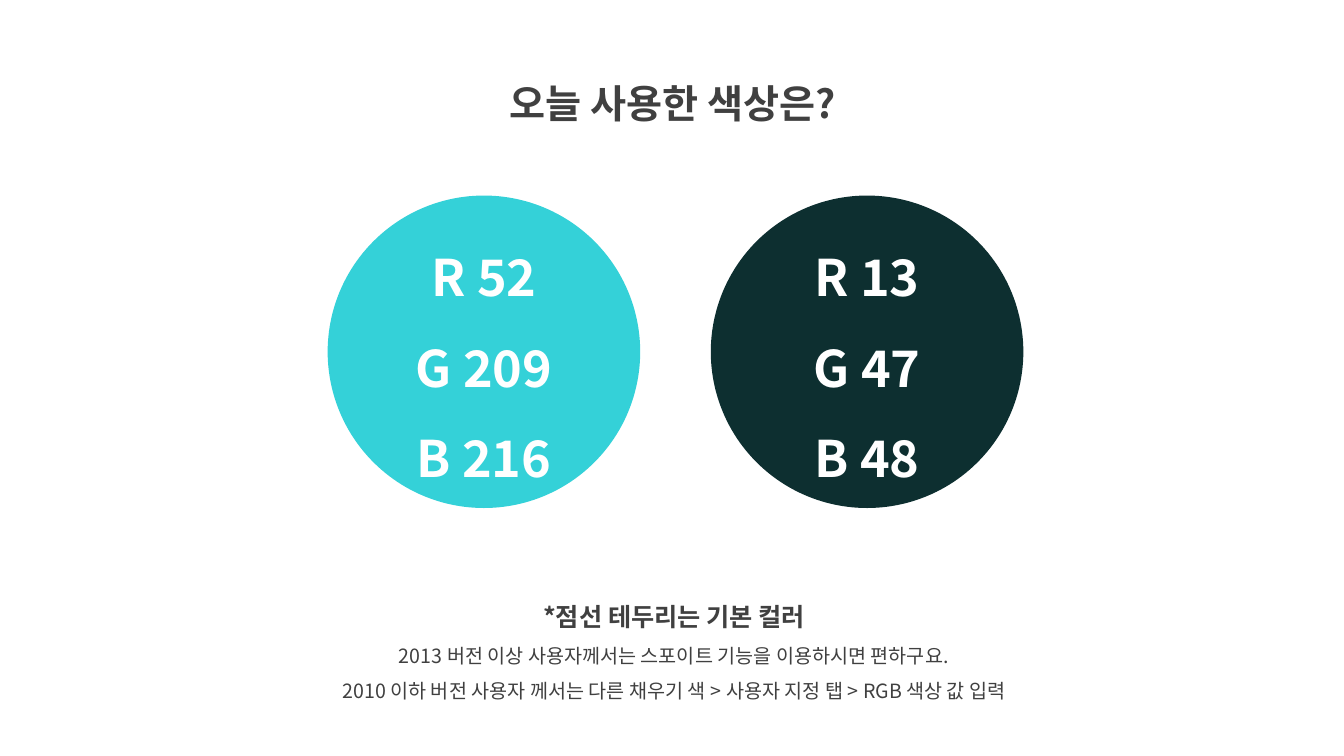
from dataclasses import dataclass

from lxml import etree
from pptx import Presentation
from pptx.dml.color import RGBColor
from pptx.enum.shapes import MSO_SHAPE
from pptx.enum.text import MSO_ANCHOR, MSO_AUTO_SIZE, PP_ALIGN
from pptx.oxml.ns import qn
from pptx.util import Inches, Pt

CENTER = PP_ALIGN.CENTER
TOP, MIDDLE = MSO_ANCHOR.TOP, MSO_ANCHOR.MIDDLE
NO_AUTOFIT = MSO_AUTO_SIZE.NONE
OVAL = MSO_SHAPE.OVAL
TITLE_ONLY = 5


@dataclass(frozen=True)
class Theme:
    font: str = "Noto Sans CJK KR"
    ink: str = "404040"
    white: str = "FFFFFF"
    title_size: int = 28
    swatch_size: int = 36
    heading_size: int = 18
    note_size: int = 14
    line_spacing: float = 1.5


class ColorSlide:
    def __init__(self, slide, theme):
        self.slide = slide
        self.theme = theme

    def set_lines(self, shape, lines, color, anchor=TOP):
        """Fill a shape with centred lines of (text, size, bold)."""
        frame = shape.text_frame
        frame_format = {"word_wrap": True, "auto_size": NO_AUTOFIT,
                        "vertical_anchor": anchor}
        for name, value in frame_format.items():
            setattr(frame, name, value)
        frame.text = "\n".join(text for text, _, _ in lines)
        for paragraph, (_, size, bold) in zip(frame.paragraphs, lines):
            paragraph.alignment = CENTER
            paragraph.line_spacing = self.theme.line_spacing
            font = paragraph.runs[0].font
            font.color.rgb = RGBColor.from_string(color)
            font_format = {"name": self.theme.font, "size": Pt(size), "bold": bold}
            for name, value in font_format.items():
                setattr(font, name, value)
            # Hangul takes the East Asian typeface
            properties = paragraph.runs[0]._r.get_or_add_rPr()
            etree.SubElement(properties, qn("a:ea"), typeface=self.theme.font)

    def title(self, text, left, top, width, height):
        title = self.slide.shapes.title
        place = {"left": left, "top": top, "width": width, "height": height}
        for name, value in place.items():
            setattr(title, name, Inches(value))
        self.set_lines(title, [(text, self.theme.title_size, True)], self.theme.ink)

    def swatch(self, rgb, left, top, diameter):
        circle = self.slide.shapes.add_shape(
            OVAL, Inches(left), Inches(top), Inches(diameter), Inches(diameter))
        circle.shadow.inherit = False
        circle.fill.solid()
        circle.fill.fore_color.rgb = RGBColor(*rgb)
        circle.line.fill.background()
        lines = [(f"{channel} {value}", self.theme.swatch_size, True)
                 for channel, value in zip("RGB", rgb)]
        self.set_lines(circle, lines, self.theme.white, MIDDLE)

    def notes(self, heading, details, left, top, width, height):
        box = self.slide.shapes.add_textbox(
            Inches(left), Inches(top), Inches(width), Inches(height))
        lines = [(heading, self.theme.heading_size, True)]
        lines += [(detail, self.theme.note_size, False) for detail in details]
        self.set_lines(box, lines, self.theme.ink)


def main():
    deck = Presentation()
    deck.slide_width, deck.slide_height = Inches(13.33), Inches(7.5)
    page = ColorSlide(deck.slides.add_slide(deck.slide_layouts[TITLE_ONLY]), Theme())

    # Heading
    page.title("오늘 사용한 색상은?", 4.36, 0.5, 4.63, 0.72)

    # Colour guide
    page.notes(
        "*점선 테두리는 기본 컬러",
        ["2013 버전 이상 사용자께서는 스포이트 기능을 이용하시면 편하구요.",
         "2010 이하 버전 사용자 께서는 다른 채우기 색 > 사용자 지정 탭 > RGB 색상 값 입력"],
        2.69, 5.77, 7.99, 1.26)

    # Colour swatches
    diameter, gap = 3.1, 0.7
    for column, rgb in enumerate([(52, 209, 216), (13, 47, 48)]):
        page.swatch(rgb, 3.25 + column * (diameter + gap), 1.94, diameter)

    deck.save("out.pptx")


if __name__ == "__main__":
    main()
